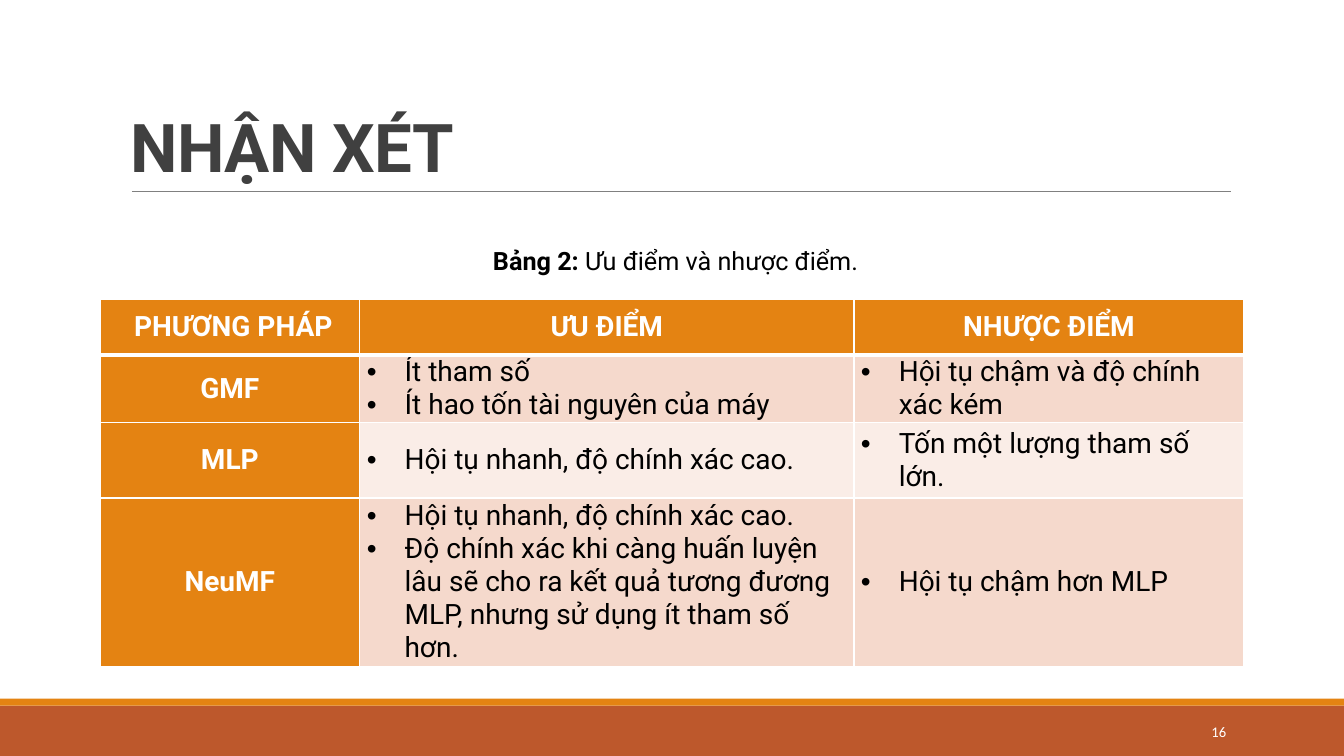
from dataclasses import dataclass

from lxml.etree import SubElement
from pptx import Presentation
from pptx.dml.color import RGBColor
from pptx.enum.shapes import MSO_CONNECTOR, MSO_SHAPE
from pptx.enum.text import MSO_ANCHOR, MSO_AUTO_SIZE, PP_ALIGN
from pptx.oxml.ns import qn
from pptx.util import Pt


@dataclass(frozen=True)
class Theme:
    """Colours, fonts and type sizes of the slide."""

    rust: str = "BD582C"
    orange: str = "E48312"
    rule: str = "808080"
    title: str = "404040"
    white: str = "FFFFFF"
    black: str = "000000"
    bands: tuple = ("F5D9CC", "FAEDE7")
    font: str = "Roboto"
    number_font: str = "Calibri"
    title_size: float = 48
    table_size: float = 20
    caption_size: float = 18
    number_size: float = 10.5


THEME = Theme()
COLUMNS = (185.6, 353, 278.6)
ROWS = (39.6, 48.2, 54, 100)
HEADINGS = ("\u00a0PHƯƠNG PHÁP", "ƯU ĐIỂM", "NHƯỢC ĐIỂM")
METHODS = (
    ("GMF", ("Ít tham số", "Ít hao tốn tài nguyên của máy"),
     ("Hội tụ chậm và độ chính xác kém",)),
    ("MLP", ("Hội tụ nhanh, độ chính xác cao.",),
     ("Tốn một lượng tham số lớn.",)),
    ("NeuMF", ("Hội tụ nhanh, độ chính xác cao.",
               "Độ chính xác khi càng huấn luyện lâu sẽ cho ra kết quả tương đương MLP, "
               "nhưng sử dụng ít tham số hơn."),
     ("Hội tụ chậm hơn MLP",)),
)


def add_bullet(para):
    """Give a paragraph a round bullet with a hanging indent."""
    properties = para._p.get_or_add_pPr()
    properties.set("marL", str(Pt(27)))
    properties.set("indent", str(-Pt(27)))
    SubElement(properties, qn("a:buFont")).set("typeface", "Arial")
    SubElement(properties, qn("a:buChar")).set("char", "•")


def write(para, text, *, size, color, font=THEME.font, bold=False,
          align=PP_ALIGN.LEFT, tracking=0):
    """Append one formatted span to a paragraph."""
    para.alignment = align
    span = para.add_run()
    span.text = text
    span.font.name = font
    span.font.size = Pt(size)
    span.font.bold = bold
    span.font.color.rgb = RGBColor.from_string(color)
    if tracking:
        span._r.get_or_add_rPr().set("spc", str(int(tracking * 100)))


def add_text_box(page, left, top, width, height, anchor=MSO_ANCHOR.TOP):
    """Add a wrapping text box and return its text frame."""
    box = page.shapes.add_textbox(Pt(left), Pt(top), Pt(width), Pt(height))
    box.text_frame.word_wrap = True
    box.text_frame.vertical_anchor = anchor
    return box.text_frame


def add_band(page, top, height, color):
    """Add a plain bar across the full slide width."""
    band = page.shapes.add_shape(MSO_SHAPE.RECTANGLE, 0, Pt(top), Pt(960), Pt(height))
    band.shadow.inherit = False
    band.fill.solid()
    band.fill.fore_color.rgb = RGBColor.from_string(color)
    band.line.fill.background()


def add_rule(page, left, right, y):
    """Add the thin line under the title."""
    rule = page.shapes.add_connector(
        MSO_CONNECTOR.STRAIGHT, Pt(left), Pt(y), Pt(right), Pt(y))
    rule.line.color.rgb = RGBColor.from_string(THEME.rule)
    rule.line.width = Pt(0.5)
    SubElement(rule._element.spPr, qn("a:effectLst"))


def style_cell(cell, color, top=1, bottom=1):
    """Set the borders, margins and fill of a table cell."""
    properties = cell._tc.get_or_add_tcPr()
    for side, width in (("L", 1), ("R", 1), ("T", top), ("B", bottom)):
        border = SubElement(properties, qn(f"a:ln{side}"), w=str(Pt(width)))
        fill = SubElement(border, qn("a:solidFill"))
        SubElement(fill, qn("a:srgbClr")).set("val", THEME.white)
    cell.margin_left = cell.margin_right = Pt(5)
    cell.margin_top = cell.margin_bottom = 0
    cell.vertical_anchor = MSO_ANCHOR.MIDDLE
    cell.fill.solid()
    cell.fill.fore_color.rgb = RGBColor.from_string(color)


def fill_label(cell, text, **borders):
    """Fill a heading cell with centred white text."""
    style_cell(cell, THEME.orange, **borders)
    write(cell.text_frame.paragraphs[0], text, size=THEME.table_size,
          color=THEME.white, bold=True, align=PP_ALIGN.CENTER)


def fill_points(cell, points, color, **borders):
    """Fill a body cell with a bulleted list."""
    style_cell(cell, color, **borders)
    frame = cell.text_frame
    for index, point in enumerate(points):
        para = frame.add_paragraph() if index else frame.paragraphs[0]
        add_bullet(para)
        write(para, point, size=THEME.table_size, color=THEME.black)


def add_comparison(page, left, top):
    """Add the table of strengths and weaknesses."""
    table = page.shapes.add_table(
        len(ROWS), len(COLUMNS), Pt(left), Pt(top), Pt(sum(COLUMNS)), Pt(sum(ROWS))).table
    table.horz_banding = False
    for column, width in zip(table.columns, COLUMNS):
        column.width = Pt(width)
    for row, height in zip(table.rows, ROWS):
        row.height = Pt(height)
    for index, heading in enumerate(HEADINGS):
        fill_label(table.cell(0, index), heading, bottom=3)
    for index, (method, *lists) in enumerate(METHODS, 1):
        top_width = 3 if index == 1 else 1
        fill_label(table.cell(index, 0), method, top=top_width)
        for column, points in enumerate(lists, 1):
            fill_points(table.cell(index, column), points,
                        THEME.bands[(index - 1) % 2], top=top_width)


def main():
    """Build the slide and save the deck."""
    deck = Presentation()
    deck.slide_width, deck.slide_height = Pt(960), Pt(540)
    page = deck.slides.add_slide(deck.slide_layouts[6])

    add_band(page, 504, 36, THEME.rust)
    add_band(page, 499, 5, THEME.orange)
    add_rule(page, 94.3, 879, 136.6)

    title = add_text_box(page, 86.4, 22.3, 792, 114.5, MSO_ANCHOR.BOTTOM).paragraphs[0]
    title.line_spacing = 0.85
    write(title, "NHẬN XÉT", size=THEME.title_size, color=THEME.title,
          bold=True, tracking=-0.5)

    add_comparison(page, 71.4, 214)

    number = add_text_box(page, 780, 508.3, 103, 28.8, MSO_ANCHOR.MIDDLE).paragraphs[0]
    write(number, "16", size=THEME.number_size, color=THEME.white,
          font=THEME.number_font, align=PP_ALIGN.RIGHT)

    caption = add_text_box(page, 242.6, 172, 480, 29)
    caption.auto_size = MSO_AUTO_SIZE.SHAPE_TO_FIT_TEXT
    for text, bold in (("Bảng 2: ", True), ("Ưu điểm và nhược điểm.", False)):
        write(caption.paragraphs[0], text, size=THEME.caption_size,
              color=THEME.black, bold=bold, align=PP_ALIGN.CENTER)

    deck.save("out.pptx")


if __name__ == "__main__":
    main()
